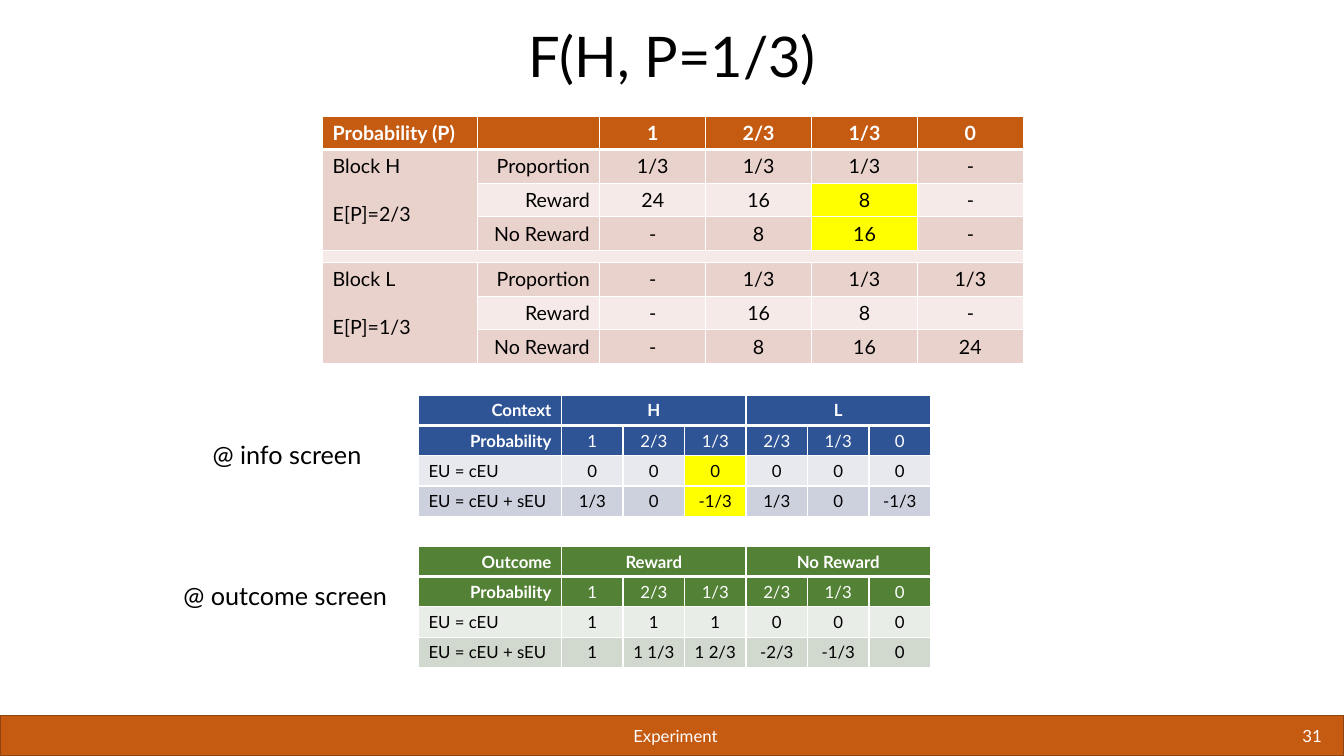
from dataclasses import dataclass

from lxml import etree
from pptx import Presentation
from pptx.dml.color import RGBColor
from pptx.enum.shapes import MSO_SHAPE
from pptx.enum.text import MSO_ANCHOR, PP_ALIGN
from pptx.oxml.ns import qn
from pptx.util import Inches, Pt

LEFT, CENTER, RIGHT = PP_ALIGN.LEFT, PP_ALIGN.CENTER, PP_ALIGN.RIGHT
TOP, MIDDLE, BOTTOM = MSO_ANCHOR.TOP, MSO_ANCHOR.MIDDLE, MSO_ANCHOR.BOTTOM
RECT = MSO_SHAPE.RECTANGLE


@dataclass(frozen=True)
class Palette:
    head: str
    odd: str
    even: str


@dataclass(frozen=True)
class Theme:
    font: str = "Lato"
    black: str = "000000"
    white: str = "FFFFFF"
    highlight: str = "FFFF00"
    bar_line: str = "92430D"
    orange: Palette = Palette("C55A11", "EAD2CC", "F5EAE7")
    blue: Palette = Palette("2F5496", "E8E9EF", "CDD1DD")
    green: Palette = Palette("538135", "E9EDE8", "D1D8CE")
    title: int = 40
    label: int = 18
    design: int = 14
    utility: int = 12
    footer: int = 12
    spacer: int = 1
    rule: int = 1
    head_rule: int = 3


T = Theme()

DESIGN = [
    ["Probability (P)", "", "1", "2/3", "1/3", "0"],
    ["Block H\nE[P]=2/3", "Proportion", "1/3", "1/3", "1/3", "-"],
    ["", "Reward", "24", "16", "8", "-"],
    ["", "No Reward", "-", "8", "16", "-"],
    [""] * 6,
    ["Block L\nE[P]=1/3", "Proportion", "-", "1/3", "1/3", "1/3"],
    ["", "Reward", "-", "16", "8", "-"],
    ["", "No Reward", "-", "8", "16", "24"],
]
PROBABILITIES = ["Probability", "1", "2/3", "1/3", "2/3", "1/3", "0"]
INFO = [
    ["Context", "H", "", "", "L", "", ""],
    PROBABILITIES,
    ["EU = cEU", "0", "0", "0", "0", "0", "0"],
    ["EU = cEU + sEU", "1/3", "0", "-1/3", "1/3", "0", "-1/3"],
]
OUTCOME = [
    ["Outcome", "Reward", "", "", "No Reward", "", ""],
    PROBABILITIES,
    ["EU = cEU", "1", "1", "1", "0", "0", "0"],
    ["EU = cEU + sEU", "1", "1 1/3", "1 2/3", "-2/3", "-1/3", "0"],
]


def rgb(color):
    return RGBColor.from_string(color)


def write(tf, text, size, color, align=LEFT, bold=False):
    tf.text = text
    for p in tf.paragraphs:
        p.alignment = align
        p.font.size = Pt(size)
        for r in p.runs:
            r.font.name = T.font
            r.font.size = Pt(size)
            r.font.bold = bold
            r.font.color.rgb = rgb(color)


def add_text(s, box, text, size, color, align=CENTER, anchor=MIDDLE, wrap=True):
    tf = s.shapes.add_textbox(*map(Inches, box)).text_frame
    tf.word_wrap = wrap
    tf.vertical_anchor = anchor
    write(tf, text, size, color, align)
    return tf


def set_borders(cell, top, bottom):
    tcPr = cell._tc.get_or_add_tcPr()
    for side, width in (("L", T.rule), ("R", T.rule), ("T", top), ("B", bottom)):
        ln = etree.SubElement(tcPr, qn(f"a:ln{side}"), w=str(Pt(width)))
        fill = etree.SubElement(ln, qn("a:solidFill"))
        etree.SubElement(fill, qn("a:srgbClr"), val=T.white)


def add_grid(s, left, top, widths, heights, rows):
    """Add a white-ruled table with a heavier rule below its first row."""
    frame = s.shapes.add_table(len(rows), len(widths), Inches(left), Inches(top),
                               Inches(sum(widths)), Inches(sum(heights)))
    table = frame.table
    for column, width in zip(table.columns, widths):
        column.width = Inches(width)
    for row, height in zip(table.rows, heights):
        row.height = Inches(height)
    for i in range(len(rows)):
        for j in range(len(widths)):
            set_borders(table.cell(i, j), T.head_rule if i == 1 else T.rule,
                        T.head_rule if i == 0 else T.rule)
    return table


def fill_cell(cell, color):
    cell.fill.solid()
    cell.fill.fore_color.rgb = rgb(color)


def add_design_table(s, left, top):
    spacer = 4
    heights = [0.12 if i == spacer else 0.33 for i in range(len(DESIGN))]
    table = add_grid(s, left, top, [1.54, 1.21] + [1.05] * 4, heights, DESIGN)
    for i, row in enumerate(DESIGN):
        head = i == 0
        size = T.spacer if i == spacer else T.design
        band = T.orange.head if head else T.orange.odd if i % 2 else T.orange.even
        for j, text in enumerate(row):
            cell = table.cell(i, j)
            marked = j == 4 and i in (2, 3)
            fill_cell(cell, T.highlight if marked else band)
            write(cell.text_frame, text, size, T.white if head else T.black,
                  (LEFT, RIGHT)[j] if j < 2 else CENTER, head)
    for first in (1, 5):
        block = table.cell(first, 0)
        block.text_frame.paragraphs[1].space_before = Pt(16.8)
        block.merge(table.cell(first + 2, 0))
    table.cell(spacer, 0).merge(table.cell(spacer, 5))


def add_utility_table(s, left, top, rows, palette, marked=()):
    table = add_grid(s, left, top, [1.42] + [0.61] * 6, [0.3] * 4, rows)
    bands = (palette.head, palette.head, palette.odd, palette.even)
    for i, row in enumerate(rows):
        head = i < 2
        for j, text in enumerate(row):
            cell = table.cell(i, j)
            fill_cell(cell, T.highlight if (i, j) in marked else bands[i])
            align = CENTER if j else RIGHT if head else LEFT
            write(cell.text_frame, text, T.utility, T.white if head else T.black,
                  align, i == 0 or (i == 1 and j == 0))
    for first in (1, 4):
        table.cell(0, first).merge(table.cell(0, first + 2))


def add_footer(s, left, top, width, height):
    bar = s.shapes.add_shape(RECT, *map(Inches, (left, top, width, height)))
    bar.shadow.inherit = False
    bar.fill.solid()
    bar.fill.fore_color.rgb = rgb(T.orange.head)
    bar.line.color.rgb = rgb(T.bar_line)
    bar.line.width = Pt(1)
    add_text(s, (left + 2.24, top, 8.92, height), "Experiment", T.footer, T.white)
    add_text(s, (left + 11.15, top, 2.06, height), "31", T.footer, T.white, RIGHT)


def main():
    prs = Presentation()
    prs.slide_width, prs.slide_height = Inches(13.33), Inches(7.5)
    s = prs.slides.add_slide(prs.slide_layouts[6])
    add_footer(s, 0, 7.1, 13.33, 0.4)
    tf = add_text(s, (0.66, 0.23, 12.01, 0.71), "F(H, P=1/3)", T.title, T.black,
                  anchor=BOTTOM)
    tf.paragraphs[0].line_spacing = 0.9
    add_utility_table(s, 4.15, 3.92, INFO, T.blue, marked=((2, 3), (3, 3)))
    add_utility_table(s, 4.15, 5.42, OUTCOME, T.green)
    add_design_table(s, 3.2, 1.15)
    for box, text in (((1.72, 5.71, 2.27, 0.4), "@ outcome screen"),
                      ((2.01, 4.31, 1.7, 0.4), "@ info screen")):
        add_text(s, box, text, T.label, T.black, LEFT, TOP, wrap=False)
    prs.save("out.pptx")


if __name__ == "__main__":
    main()
